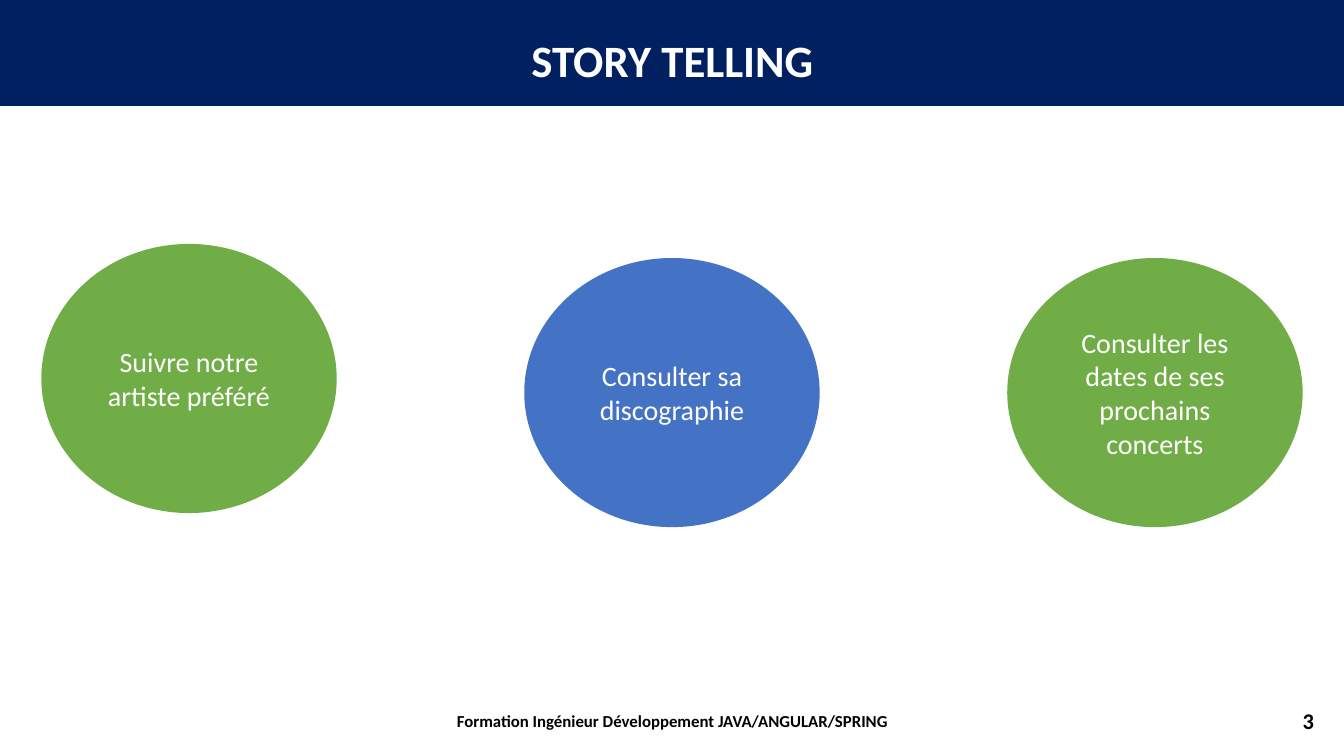
from pptx import Presentation
from pptx.dml.color import RGBColor
from pptx.enum.shapes import MSO_SHAPE as Preset
from pptx.enum.text import MSO_ANCHOR as Anchor, PP_ALIGN as Align
from pptx.util import Inches, Pt

NAVY = RGBColor(0x00, 0x20, 0x60)
GREEN = RGBColor(0x70, 0xAD, 0x47)
BLUE = RGBColor(0x44, 0x72, 0xC4)
WHITE = RGBColor(0xFF, 0xFF, 0xFF)
BLACK = RGBColor(0x00, 0x00, 0x00)

BANNER = (0, -0.09, 13.33, 1.14)
LABELS = [
    ("Formation Ingénieur Développement JAVA/ANGULAR/SPRING",
     (4.42, 6.95, 4.5, 0.4), Anchor.MIDDLE, Align.CENTER,
     {"size": Pt(12), "bold": True}, BLACK),
    ("3", (10.13, 6.95, 3, 0.4), Anchor.MIDDLE, Align.RIGHT,
     {"size": Pt(16), "bold": True}, BLACK),
    ("STORY TELLING", (2.66, 0.28, 8.02, 0.64), Anchor.TOP, Align.CENTER,
     {"size": Pt(32), "bold": True}, WHITE),
]
STEPS = [
    ("Suivre notre artiste préféré", 2.42, GREEN),
    ("Consulter sa discographie", 2.56, BLUE),
    ("Consulter les dates de ses prochains concerts", 2.56, GREEN),
]
STEP_LEFT, STEP_PITCH, STEP_WIDTH, STEP_HEIGHT = 0.41, 4.79, 2.93, 2.67


def add_filled(page, preset, place, color):
    shape = page.shapes.add_shape(preset, *map(Inches, place))
    shape.shadow.inherit = False
    shape.fill.solid()
    shape.fill.fore_color.rgb = color
    shape.line.fill.background()
    return shape


def write(shape, text, anchor, align, font, color):
    frame = shape.text_frame
    frame.word_wrap = True
    frame.vertical_anchor = anchor
    para = frame.paragraphs[0]
    para.alignment = align
    span = para.add_run()
    span.text = text
    for name, value in {"name": "Calibri", **font}.items():
        setattr(span.font, name, value)
    span.font.color.rgb = color


def main():
    deck = Presentation()
    deck.slide_width, deck.slide_height = Inches(13.33), Inches(7.5)
    page = deck.slides.add_slide(deck.slide_layouts[6])

    banner = add_filled(page, Preset.RECTANGLE, BANNER, NAVY)
    banner.line.color.rgb = NAVY
    banner.line.width = Pt(1)

    for text, place, anchor, align, font, color in LABELS:
        box = page.shapes.add_textbox(*map(Inches, place))
        write(box, text, anchor, align, font, color)

    for index, (text, top, color) in enumerate(STEPS):
        left = STEP_LEFT + index * STEP_PITCH
        place = (left, top, STEP_WIDTH, STEP_HEIGHT)
        circle = add_filled(page, Preset.FLOWCHART_CONNECTOR, place, color)
        write(circle, text, Anchor.MIDDLE, Align.CENTER, {"size": Pt(20)}, WHITE)

    deck.save("out.pptx")


if __name__ == "__main__":
    main()
